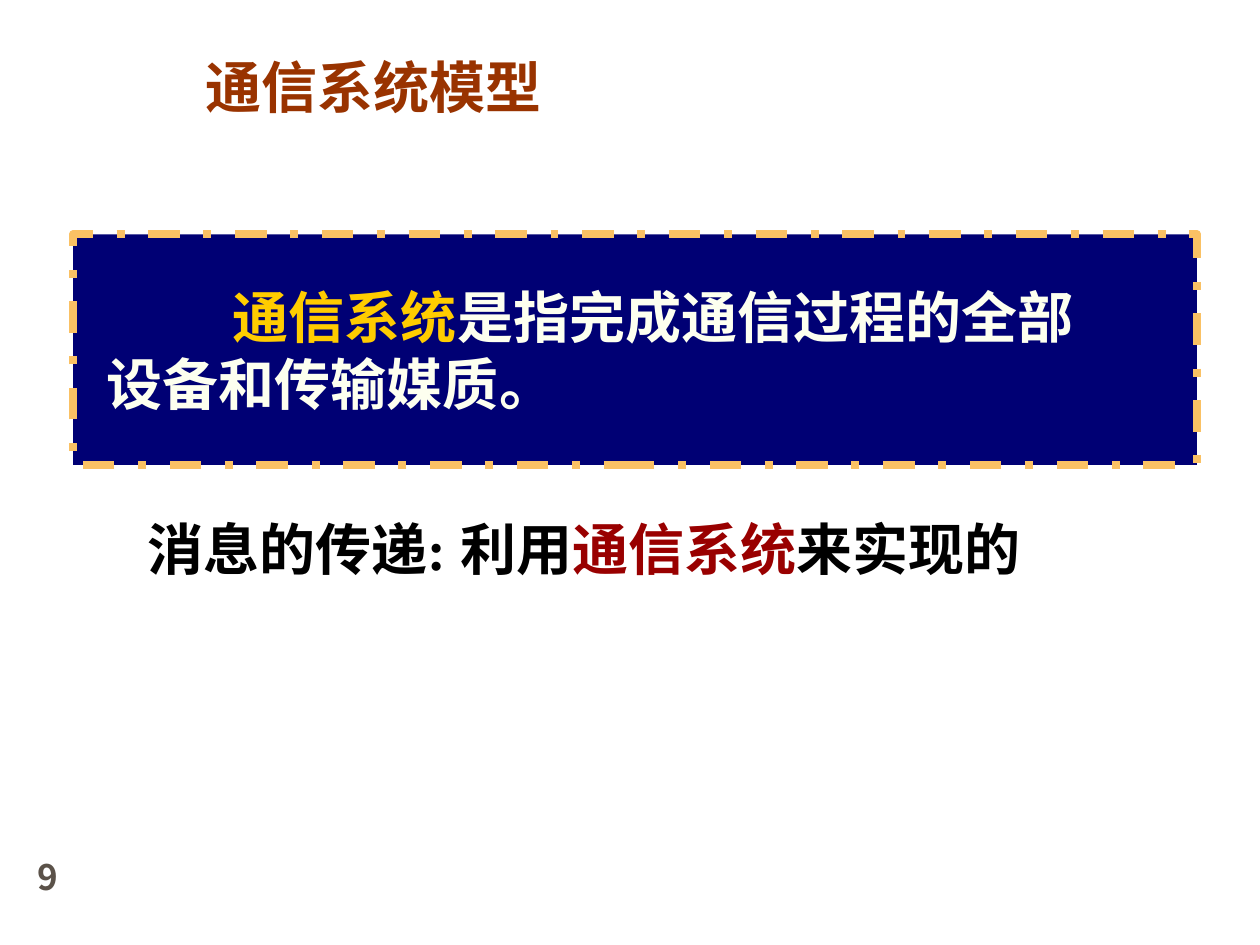
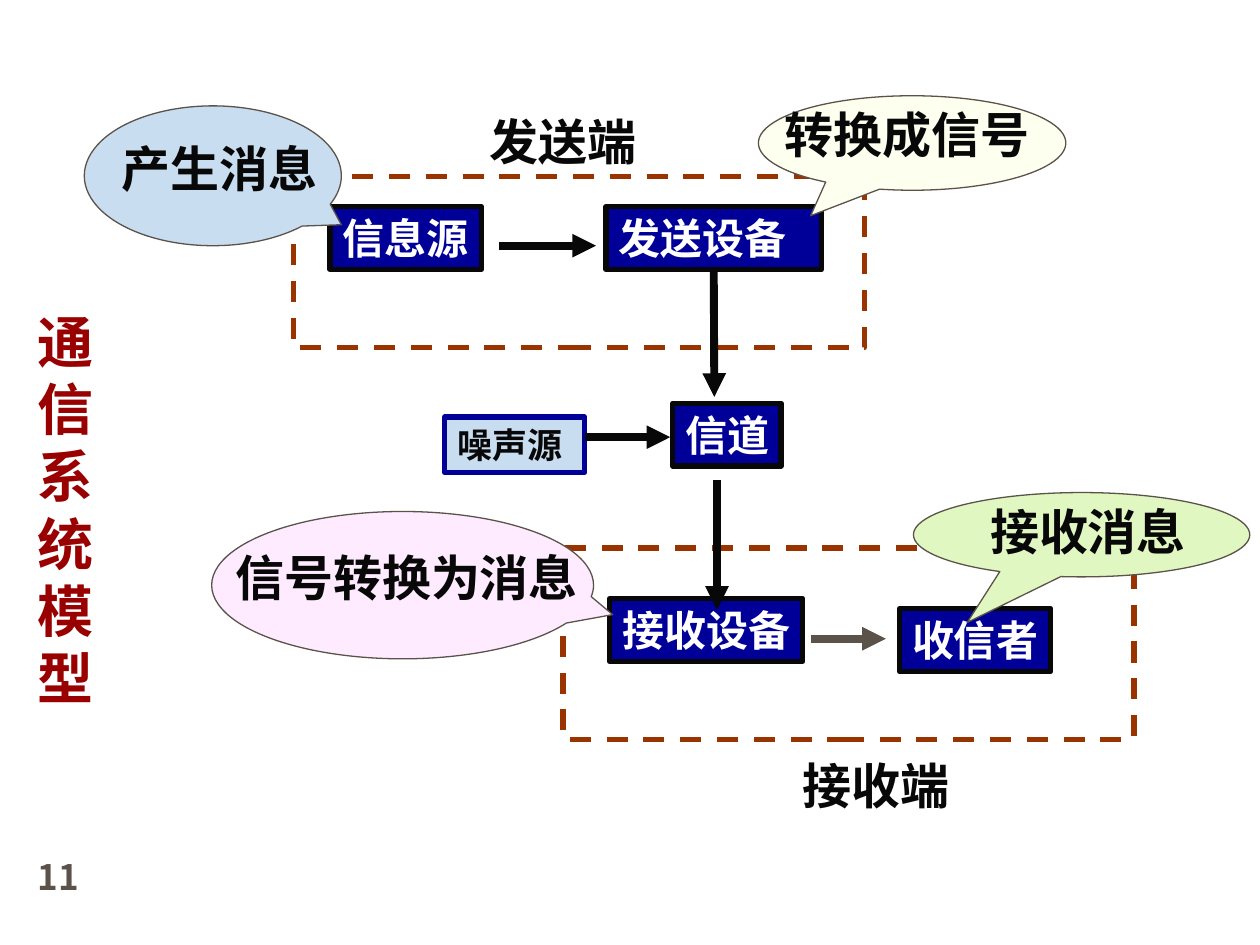
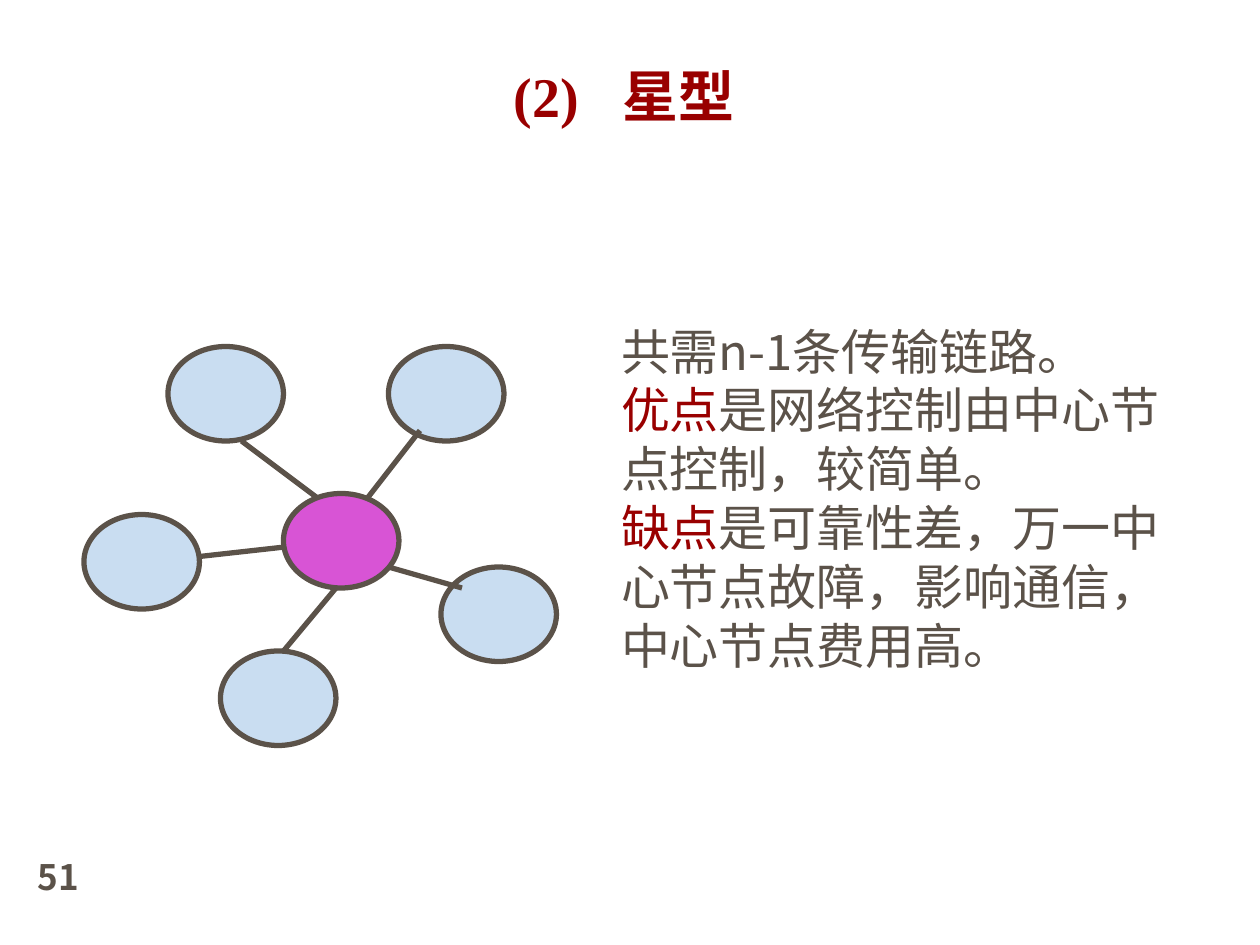
from lxml import etree
from pptx import Presentation
from pptx.dml.color import RGBColor
from pptx.enum import dml, shapes, text
from pptx.oxml import ns
from pptx.util import Pt

HEX = {
    "ink": "080808", "black": "000000", "white": "FFFFFF", "gray": "5B5249",
    "rust": "993300", "red": "990000", "gold": "FFCC00", "cream": "FDFFEF",
    "night": "000074", "navy": "000099", "amber": "FAC164", "sky": "C9DDF1",
    "pink": "FFEBFF", "lime": "E1F7C1", "plum": "D854D5",
}
SERIF, SANS, BODY = "Times New Roman", "Noto Sans CJK SC", "Noto Sans CJK JP"
SHAPE, DASH = shapes.MSO_SHAPE, dml.MSO_LINE

# Every place is (left, top, width, height) in points.
FOOT = (14.4, 485.3, 39.6, 36)

TITLES = [
    ("通信系统模型", (110.2, 12.2, 372.2, 59.8), SANS, "rust"),
    ("通信系统模型", (14.4, 157, 51.8, 252.7), SERIF, "red"),
    ("(2)\t星型", (286.6, 25.9, 144, 51.1), SERIF, "red"),
]
NUMBERS = ["9", "11", "51"]

PANEL = (41.8, 133.9, 642.2, 131.8)
QUOTE = (54, 157.7, 588.2, 84.2)
DEFINE = [("通信系统", "gold"), ("是指完成通信过程的全部设备和传输媒质。", "cream")]
SAY = (77, 290.2, 529.2, 46.1)
MESSAGE = [("消息的传递: 利用", "black"), ("通信系统", "red"), ("来实现的", "black")]

FRAMES = [(167.8, 100.8, 326.2, 97.9), (321.8, 313.2, 326.2, 109.4)]
BLOCKS = {  # name: place, fill, line, text colour, size
    "信息源": ((188.6, 118.1, 86.4, 36), "navy", "ink", "white", 24),
    "发送设备": ((346.3, 118.1, 123.1, 36), "navy", "ink", "white", 24),
    "接收设备": ((348.5, 342, 110.2, 36), "navy", "ink", "white", 24),
    "收信者": ((514.1, 347.8, 86.4, 36), "navy", "ink", "white", 24),
    "噪声源": ((254.2, 238.3, 79.9, 31.7), "sky", "navy", "ink", 20),
    "信道": ((384.5, 230.4, 61.9, 36), "navy", "ink", "white", 24),
}
ARROWS = [  # x1, y1, x2, y2, colour, block whose bottom it leaves
    (408.2, 154.1, 408.2, 226.8, "ink", "发送设备"),
    (463.7, 365, 506.2, 365, "gray", None),
    (285.1, 140.4, 340.6, 140.4, "ink", None),
    (334.1, 249.8, 383, 249.8, "ink", None),
    (409.7, 274.3, 409.7, 348.5, "ink", None),
]
ENDS = [("发送端", (272.9, 60.5, 97.9, 41)), ("接收端", (451.4, 428.4, 97.9, 41))]
BUBBLES = [  # text, outline, tail, fill, text place
    ("产生消息", (48.2, 60.5, 146.9, 79.9), (0.5, 0.35), "sky",
     (62.6, 75.6, 131.8, 41)),
    ("信号转换为消息", (121, 292.3, 218.2, 84.2), (0.55, 0.2), "pink",
     (127.4, 309.6, 238.3, 41)),
    ("接收消息", (522, 281.5, 192.2, 48.2), (-0.34, 1.04), "lime",
     (558.7, 283, 126, 41)),
    ("转换成信号", (433.4, 54.7, 175.7, 54), (-0.33, 0.77), "cream",
     (441.4, 56.2, 159.1, 41)),
]

NODE = (66, 54)
HUB = (162, 282)
LEAVES = [(126, 372), (48, 294), (252, 324), (222, 198), (96, 198)]
LINKS = [
    (138, 252, 186, 288), (240, 246, 198, 300), (114, 318, 168, 312),
    (222, 324, 264, 336), (162, 372, 192, 336),
]
NOTES = (347.8, 180, 336.2, 242.6)
POINTS = [
    [("共需n-1条传输链路。", "gray")],
    [("优点", "red"), ("是网络控制由中心节点控制，较简单。", "gray")],
    [("缺点", "red"),
     ("是可靠性差，万一中心节点故障，影响通信，中心节点费用高。", "gray")],
]


def rgb(name):
    return RGBColor.from_string(HEX[name])


def pts(place):
    return [Pt(n) for n in place]


def put(page, kind, place, fill=None, line=None, width=0.75, dash=None):
    """Add a preset shape; without a fill or line colour it has none."""
    form = page.shapes.add_shape(kind, *pts(place))
    form.shadow.inherit = False
    if fill:
        form.fill.solid()
        form.fill.fore_color.rgb = rgb(fill)
    else:
        form.fill.background()
    if line:
        form.line.color.rgb = rgb(line)
        form.line.width = Pt(width)
        if dash:
            form.line.dash_style = dash
    else:
        form.line.fill.background()
    return form


def write(form, paras, size, face=SERIF, bold=True, anchor=text.MSO_ANCHOR.TOP):
    """Fill a shape with paragraphs, each a list of (words, colour)."""
    frame = form.text_frame
    frame.word_wrap = True
    frame.vertical_anchor = anchor
    frame.margin_right = 0
    for i, runs in enumerate(paras):
        para = frame.add_paragraph() if i else frame.paragraphs[0]
        para.alignment = text.PP_ALIGN.LEFT
        para.line_spacing = Pt(size * 1.2)
        font = para.font
        font.size, font.bold, font.name = Pt(size), bold, face
        font.color.rgb = rgb(runs[0][1])
        base = para._p.pPr.find(ns.qn("a:defRPr"))
        east = SANS if face == SERIF else face
        etree.SubElement(base, ns.qn("a:ea"), typeface=east)
        for words, colour in runs:
            run = para.add_run()
            run.text = words
            run.font.color.rgb = rgb(colour)
    return frame


def label(page, place, paras, size, **style):
    return write(page.shapes.add_textbox(*pts(place)), paras, size, **style)


def link(page, ends, colour, width, head=False):
    wire = page.shapes.add_connector(shapes.MSO_CONNECTOR.STRAIGHT, *pts(ends))
    wire.line.color.rgb = rgb(colour)
    wire.line.width = Pt(width)
    props = wire._element.spPr
    if head:
        etree.SubElement(props.find(ns.qn("a:ln")), ns.qn("a:tailEnd"),
                         type="triangle")
    etree.SubElement(props, ns.qn("a:effectLst"))
    return wire


def start(deck, title, number):
    """Add a blank page with its title and page number."""
    page = deck.slides.add_slide(deck.slide_layouts[6])
    words, place, face, colour = title
    frame = label(page, place, [[(words, colour)]], 32, face=face,
                  anchor=text.MSO_ANCHOR.BOTTOM)
    if "\t" in words:
        props = frame.paragraphs[0]._p.pPr
        tabs = etree.Element(ns.qn("a:tabLst"))
        etree.SubElement(tabs, ns.qn("a:tab"), pos=str(Pt(62)), algn="l")
        props.find(ns.qn("a:defRPr")).addprevious(tabs)
    label(page, FOOT, [[(number, "gray")]], 20, face=SANS)
    return page


def define(page):
    put(page, SHAPE.RECTANGLE, PANEL, "night", "amber", 4.5, DASH.DASH_DOT)
    quote = put(page, SHAPE.RECTANGLE, QUOTE, "night", "night")
    frame = write(quote, [DEFINE], 32)
    frame.paragraphs[0]._p.pPr.set("indent", str(Pt(72)))
    label(page, SAY, [MESSAGE], 32)


def model(page):
    for place in FRAMES:
        put(page, SHAPE.RECTANGLE, place, None, "rust", 3, DASH.DASH)
    blocks = {}
    for name, (place, fill, line, colour, size) in BLOCKS.items():
        blocks[name] = put(page, SHAPE.RECTANGLE, place, fill, line, 3)
        write(blocks[name], [[(name, colour)]], size)
    for *ends, colour, source in ARROWS:
        wire = link(page, ends, colour, 4.5, head=True)
        if source:
            wire.begin_connect(blocks[source], 2)
    for name, place in ENDS:
        label(page, place, [[(name, "ink")]], 28)
    for name, place, tail, fill, spot in BUBBLES:
        form = put(page, SHAPE.OVAL_CALLOUT, place, fill, "gray")
        form.adjustments[0], form.adjustments[1] = tail
        label(page, spot, [[(name, "ink")]], 28)


def star(page):
    label(page, NOTES, POINTS, 28, face=BODY, bold=False)
    for spot in LEAVES:
        put(page, SHAPE.OVAL, spot + NODE, "sky", "gray", 3)
    for ends in LINKS:
        link(page, ends, "gray", 3)
    put(page, SHAPE.OVAL, HUB + NODE, "plum", "gray", 3)


def main():
    deck = Presentation()
    deck.slide_width, deck.slide_height = Pt(720), Pt(540)
    for title, number, draw in zip(TITLES, NUMBERS, (define, model, star)):
        draw(start(deck, title, number))
    deck.save("out.pptx")


if __name__ == "__main__":
    main()
